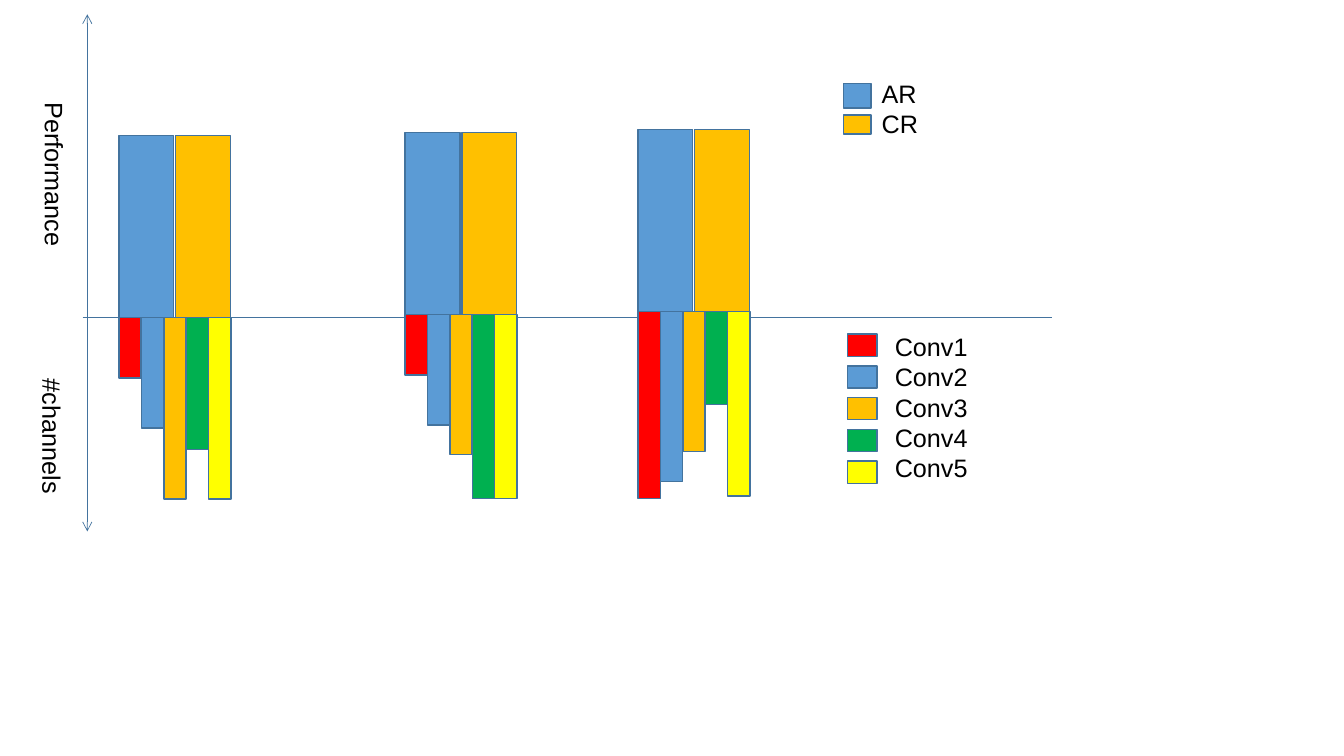
import lxml.etree
import pptx
import pptx.dml.color
import pptx.enum.shapes
import pptx.enum.text
import pptx.oxml.ns
import pptx.util

Cm = pptx.util.Cm
Pt = pptx.util.Pt

BLUE, AMBER = "5B9BD5", "FFC000"
METRICS = {"AR": BLUE, "CR": AMBER}
LAYERS = {"Conv1": "FF0000", "Conv2": BLUE, "Conv3": AMBER, "Conv4": "00B050", "Conv5": "FFFF00"}
PERFORMANCE_HEIGHT = 4.58
GROUPS = [
    (3.0, 8.0, [1.53, 2.79, 4.58, 3.33, 4.58]),
    (10.21, 7.92, [1.53, 2.79, 3.53, 4.65, 4.65]),
    (16.08, 7.85, [4.72, 4.29, 3.53, 2.34, 4.65]),
]


def rgb(hex_code):
    return pptx.dml.color.RGBColor.from_string(hex_code)


class ChannelChart:
    """Holds the style and the current slide, and draws each kind of element in cm."""

    font, size, leading = "Arial", 18, 21.6
    ink, outline = "000000", "43739E"

    def __init__(self, slide):
        self.slide = slide

    def bar(self, left, top, width, height, color):
        bar = self.slide.shapes.add_shape(
            pptx.enum.shapes.MSO_SHAPE.RECTANGLE, Cm(left), Cm(top), Cm(width), Cm(height))
        bar.shadow.inherit = False
        bar.fill.solid()
        bar.fill.fore_color.rgb = rgb(color)
        bar.line.color.rgb = rgb(self.outline)
        bar.line.width = Pt(1)

    def axis(self, x1, y1, x2, y2, arrow=False):
        axis = self.slide.shapes.add_connector(
            pptx.enum.shapes.MSO_CONNECTOR.STRAIGHT, Cm(x1), Cm(y1), Cm(x2), Cm(y2))
        axis.line.color.rgb = rgb(self.outline)
        axis.line.width = Pt(0.5)
        qn = pptx.oxml.ns.qn
        properties = axis.line._get_or_add_ln().getparent()
        if arrow:
            lxml.etree.SubElement(properties.find(qn("a:ln")), qn("a:tailEnd"), type="arrow")
        lxml.etree.SubElement(properties, qn("a:effectLst"))

    def text(self, lines, left, top, width, height, rotation=0, wrap=False):
        label = self.slide.shapes.add_textbox(Cm(left), Cm(top), Cm(width), Cm(height))
        label.rotation = rotation
        frame = label.text_frame
        frame.word_wrap = wrap
        frame.auto_size = pptx.enum.text.MSO_AUTO_SIZE.NONE
        frame.text = "\n".join(lines)
        for paragraph in frame.paragraphs:
            paragraph.line_spacing = Pt(self.leading)
            font = paragraph.runs[0].font
            font.name, font.size = self.font, Pt(self.size)
            font.color.rgb = rgb(self.ink)

    def group(self, left, base, channel_heights):
        for i, color in enumerate(METRICS.values()):
            self.bar(left + 1.43 * i, base - PERFORMANCE_HEIGHT, 1.38, PERFORMANCE_HEIGHT, color)
        for i, (color, height) in enumerate(zip(LAYERS.values(), channel_heights)):
            self.bar(left + 0.565 * i, base, 0.56, height, color)


def main():
    deck = pptx.Presentation()
    deck.slide_width, deck.slide_height = Cm(33.87), Cm(19.05)
    chart = ChannelChart(deck.slides.add_slide(deck.slide_layouts[6]))

    chart.axis(2.08, 8, 26.52, 8)
    chart.axis(2.2, 7.87, 2.2, 0.36, arrow=True)
    chart.axis(2.2, 7.75, 2.2, 13.39, arrow=True)
    for left, base, channel_heights in GROUPS:
        chart.group(left, base, channel_heights)

    for i, (color, height) in enumerate(zip(METRICS.values(), [0.61, 0.48])):
        chart.bar(21.26, 2.11 + 0.79 * i, 0.69, height, color)
    for i, color in enumerate(LAYERS.values()):
        chart.bar(21.36, 8.42 + 0.8 * i, 0.74, 0.56, color)
    chart.text(METRICS, 21.97, 1.85, 1.42, 2.54)
    chart.text(LAYERS, 22.3, 8.23, 2.57, 4.83, wrap=True)

    chart.text(["Performance"], -0.69, 3.89, 4.14, 1.02, rotation=90)
    chart.text(["#channels"], -0.38, 10.49, 3.4, 1.02, rotation=90)
    deck.save("out.pptx")


if __name__ == "__main__":
    main()
